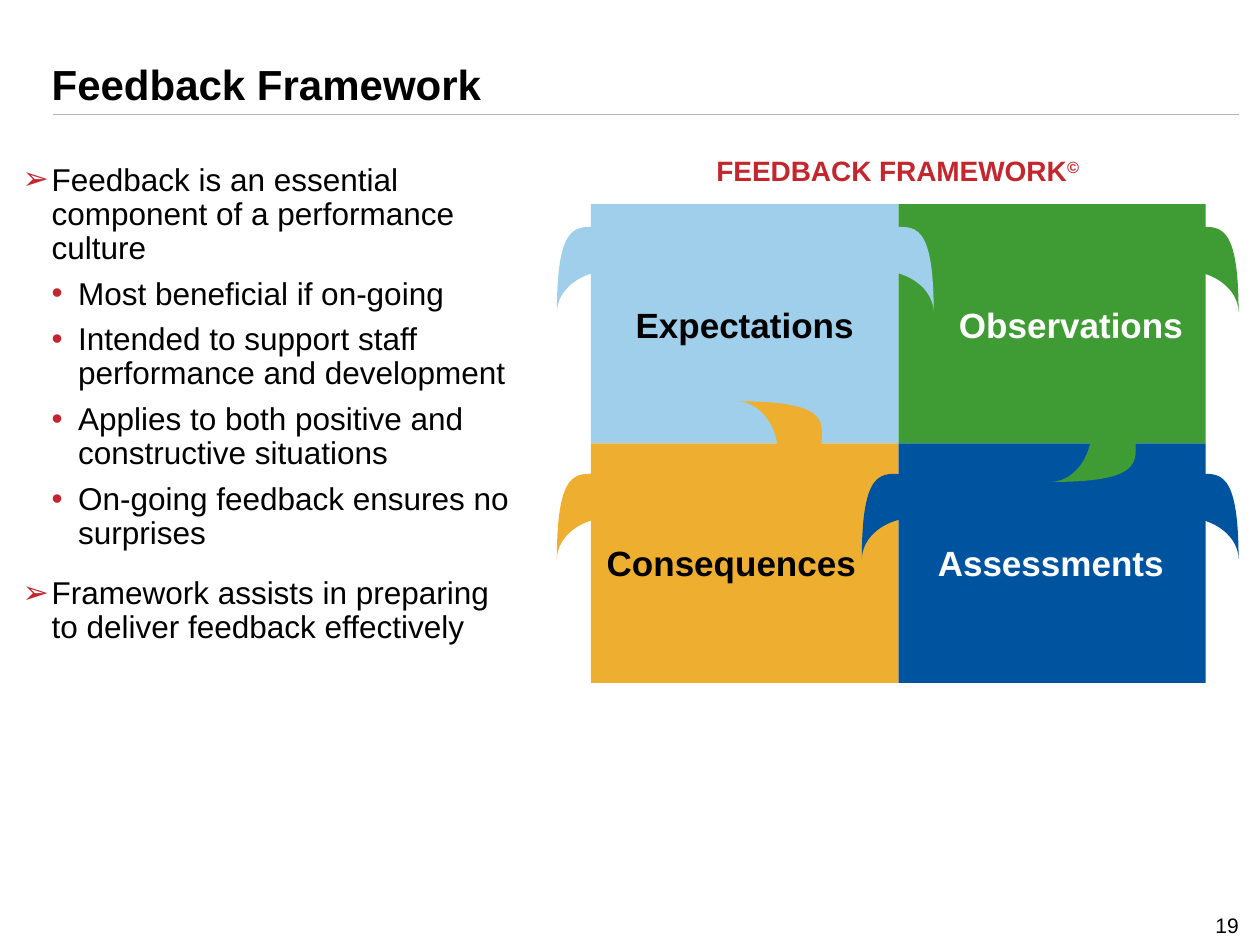
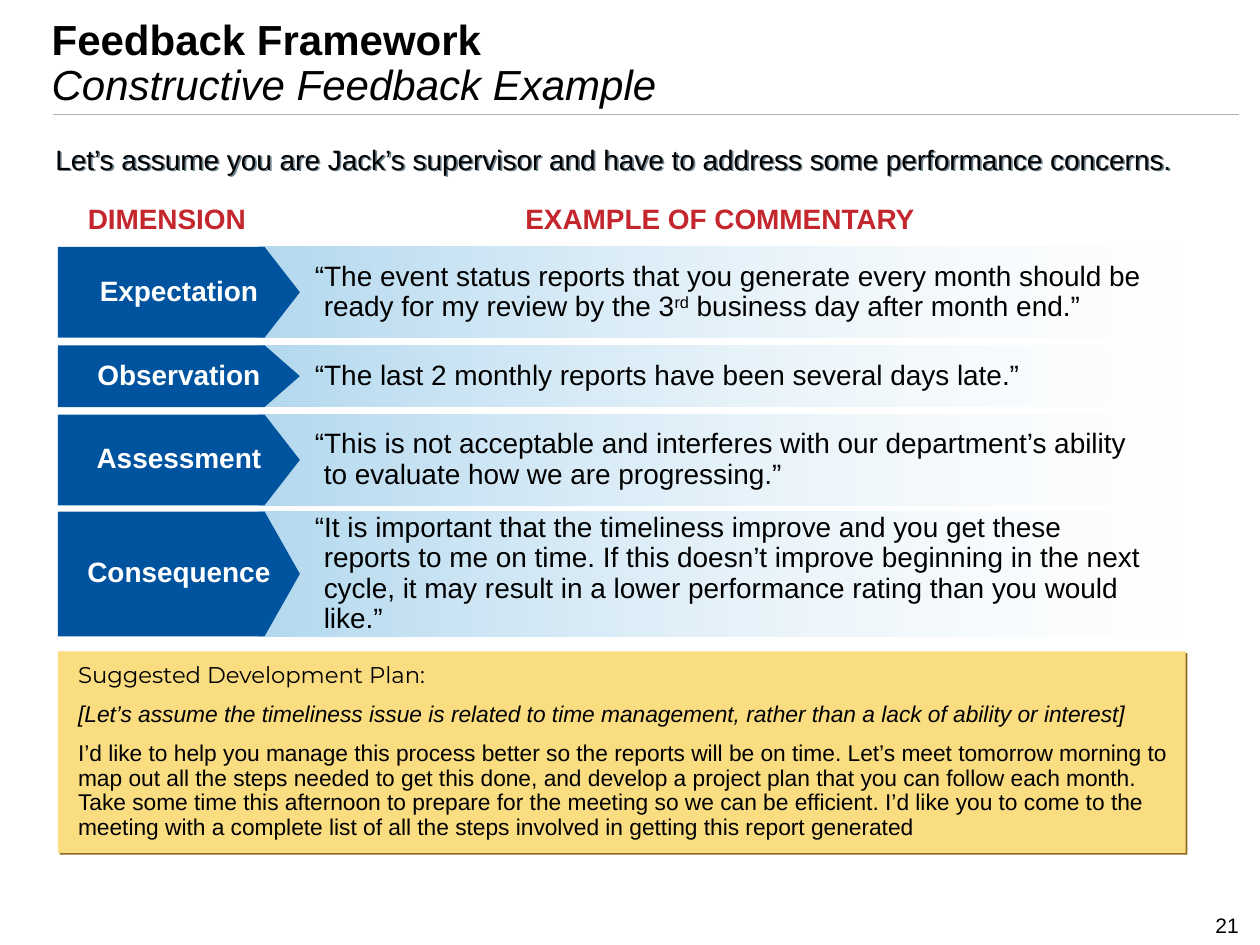
from copy import deepcopy
from dataclasses import dataclass

from lxml.etree import SubElement
from pptx import Presentation
from pptx.dml.color import RGBColor
from pptx.enum.shapes import MSO_CONNECTOR, MSO_SHAPE
from pptx.enum.text import MSO_ANCHOR, MSO_AUTO_SIZE, PP_ALIGN
from pptx.oxml.ns import qn
from pptx.util import Inches, Pt


@dataclass(frozen=True)
class Theme:
    font: str = "Arial"
    accent: str = "Montserrat"
    black: str = "000000"
    white: str = "FFFFFF"
    red: str = "C4262E"
    rule: str = "B2B4B3"
    sky: str = "A0CFEB"
    green: str = "3F9C35"
    blue: str = "00549F"
    gold: str = "EEAF30"
    cream: str = "FADD80"
    brown: str = "8F691D"
    slate: str = "6F8491"
    title: int = 24
    label: int = 20
    body: int = 18
    text: int = 16
    plan: int = 13
    page: int = 12


T = Theme()
LEFT, MID, RIGHT = PP_ALIGN.LEFT, PP_ALIGN.CENTER, PP_ALIGN.RIGHT
TOP, BASE = MSO_ANCHOR.TOP, MSO_ANCHOR.BOTTOM


def write(para, runs, size, tint=T.black, align=LEFT, before=0, pitch=0.9, font=T.font):
    para.alignment = align
    para.space_before = Pt(before)
    para.line_spacing = pitch
    for text, style in runs:
        if text == "\n":
            last = para.runs[-1]
            para.add_line_break()
            para._p[-1].append(deepcopy(last._r.rPr))
            continue
        run = para.add_run()
        run.text = text
        run.font.name = font
        run.font.size = Pt(size)
        run.font.bold = "b" in style
        run.font.italic = "i" in style
        run.font.color.rgb = RGBColor.from_string(tint)
        if "^" in style:
            run._r.get_or_add_rPr().set("baseline", "30000")


def draw(slide, points, tint):
    first, *rest = [(Inches(x), Inches(y)) for x, y in points]
    pen = slide.shapes.build_freeform(*first)
    pen.add_line_segments(rest, close=True)
    shape = pen.convert_to_shape()
    shape.shadow.inherit = False
    shape.fill.solid()
    shape.fill.fore_color.rgb = RGBColor.from_string(tint)
    shape.line.fill.background()
    return shape


deck = Presentation()
deck.slide_width, deck.slide_height = Inches(10), Inches(7.5)

name = ("Feedback Framework", "b")
heads = [
    (1, [name], "19"),
    (5, [name, ("\n", ""), ("Constructive Feedback Example", "i")], "21"),
]
notes = []
for kind, runs, page in heads:
    slide = deck.slides.add_slide(deck.slide_layouts[kind])
    title = slide.shapes.title
    title.left, title.top = Inches(0.31), Inches(0.09)
    title.width, title.height = Inches(9.5), Inches(0.83)
    frame = title.text_frame
    frame.auto_size = MSO_AUTO_SIZE.NONE
    frame.vertical_anchor = BASE
    write(frame.paragraphs[0], runs, T.title)
    notes.append((slide, (7.85, 7.16, 2.08, 0.33), [(page, "")], T.page, T.black, RIGHT, BASE, 1))

frame_slide, case = deck.slides

rule = case.shapes.add_connector(
    MSO_CONNECTOR.STRAIGHT, Inches(0.42), Inches(0.91), Inches(9.83), Inches(0.91))
rule.line.color.rgb = RGBColor.from_string(T.rule)
rule.line.width = Pt(0.25)
SubElement(rule._element.spPr, qn("a:effectLst"))
rule._element.nvCxnSpPr.cNvPr.set("id", "20")
deck.slide_master.shapes._spTree.append(rule._element)

body = frame_slide.placeholders[1]
body.left, body.top = Inches(0.08), Inches(1.25)
body.width, body.height = Inches(4.16), Inches(5.58)
frame = body.text_frame
frame.auto_size = MSO_AUTO_SIZE.NONE
points = [
    (0, "Feedback is an essential component of a performance culture"),
    (1, "Most beneficial if on-going"),
    (1, "Intended to support staff performance and development"),
    (1, "Applies to both positive and constructive situations"),
    (1, "On-going feedback ensures no surprises"),
    (0, "Framework assists in preparing to deliver feedback effectively"),
]
levels = [("➢", 0.23, 0.23, 14.6), ("•", 0.44, 0.21, 6.8)]
for i, (level, text) in enumerate(points):
    mark, left, hang, before = levels[level]
    para = frame.add_paragraph() if i else frame.paragraphs[0]
    para.level = level
    write(para, [(text, "")], T.body, before=before)
    props = para._p.get_or_add_pPr()
    props.set("marL", str(Inches(left)))
    props.set("indent", str(-Inches(hang)))
    SubElement(SubElement(props, qn("a:buClr")), qn("a:srgbClr"), val=T.red)
    SubElement(props, qn("a:buFont"), typeface=T.font)
    SubElement(props, qn("a:buChar"), char=mark)

wide, high = 2.44, 1.9
tiles = [
    (1, 0, T.green, T.white, "Observations", 7.46, 2.4, 2.08),
    (0, 0, T.sky, T.black, "Expectations", 4.87, 2.4, 2.08),
    (1, 1, T.blue, T.white, "Assessments", 7.3, 4.29, 2.08),
    (0, 1, T.gold, T.black, "Consequences", 4.7, 4.29, 2.21),
]
for col, row, tint, ink, text, left, top, span in tiles:
    x, y = 4.69 + col * wide, 1.62 + row * high
    tile = frame_slide.shapes.add_shape(
        MSO_SHAPE.RECTANGLE, Inches(x), Inches(y), Inches(wide), Inches(high))
    tile.shadow.inherit = False
    tile.fill.solid()
    tile.fill.fore_color.rgb = RGBColor.from_string(tint)
    tile.line.fill.background()
    notes.append((frame_slide, (left, top, span, 0.4), [(text, "b")], T.label, ink, MID, TOP, 0.9))

long, deep = 0.42, 0.65
horn = [
    ("a:moveTo", [(0, 0)]),
    ("a:cubicBezTo", [(0.23, 0), (0.42, 0.15), (0.42, 0.33)]),
    ("a:cubicBezTo", [(0.42, -0.48), (0.23, -0.34), (0, -0.34)]),
    ("a:lnTo", [(0, 0.33)]),
    ("a:close", []),
]
horns = [
    (T.green, 9.41, 2.15, 0, ""),
    (T.sky, 6.99, 2.15, 0, ""),
    (T.sky, 4.42, 2.15, 0, "flipH"),
    (T.blue, 9.41, 4.11, 0, ""),
    (T.green, 8.13, 3.29, 90, ""),
    (T.gold, 4.42, 4.11, 0, "flipH"),
    (T.gold, 5.64, 3.07, 270, "flipV"),
    (T.blue, 6.84, 4.11, 0, "flipH"),
]
for tint, x, y, turn, flip in horns:
    box = [(x, y), (x + long, y), (x + long, y + deep), (x, y + deep)]
    tail = draw(frame_slide, box, tint)
    tail.rotation = turn
    if flip:
        tail._element.spPr.xfrm.set(flip, "1")
    trace = next(tail._element.iter(qn("a:path")))
    for step in list(trace):
        trace.remove(step)
    for tag, spots in horn:
        step = SubElement(trace, qn(tag))
        for u, v in spots:
            SubElement(step, qn("a:pt"), x=str(Inches(u)), y=str(Inches(v)))

notes.append((frame_slide, (4.71, 1.17, 4.83, 0.37),
              [("FEEDBACK FRAMEWORK", "b"), ("©", "b^")], T.text, T.red, MID, TOP, 1))

rows = [
    ("Expectation", 1.96, 0.72, [
        ("“The event status reports that you generate every month should be ready "
         "for my review by the 3", ""),
        ("rd", "^"),
        (" business day after month end.”", "")]),
    ("Observation", 2.74, 0.49, [
        ("“The last 2 monthly reports have been several days late.”", "")]),
    ("Assessment", 3.29, 0.72, [
        ("“This is not acceptable and interferes with our department’s ability "
         "to evaluate how we are progressing.”", "")]),
    ("Consequence", 4.06, 0.99, [
        ("“It is important that the timeliness improve and you get these reports to me "
         "on time. If this doesn’t improve beginning in the next cycle, it may result "
         "in a lower performance rating than you would like.”", "")]),
]
for text, y, tall, runs in rows:
    band = case.shapes.add_shape(
        MSO_SHAPE.RECTANGLE, Inches(2.05), Inches(y), Inches(7.33), Inches(tall))
    band.shadow.inherit = False
    band.line.fill.background()
    band.fill.gradient()
    band.fill.gradient_angle = 0
    fades = [(T.sky, 0, 80000), (T.white, 1, 30000)]
    for stop, (tint, place, alpha) in zip(band.fill.gradient_stops, fades):
        stop.color.rgb = RGBColor.from_string(tint)
        stop.position = place
        SubElement(stop._gs.find(qn("a:srgbClr")), qn("a:alpha"), val=str(alpha))
    frame = band.text_frame
    frame.word_wrap = True
    frame.vertical_anchor = MSO_ANCHOR.MIDDLE
    frame.margin_left, frame.margin_right = Inches(0.45), Inches(0.25)
    write(frame.paragraphs[0], runs, T.text)
    props = frame.paragraphs[0]._p.get_or_add_pPr()
    props.set("marL", str(Inches(0.07)))
    props.set("indent", str(-Inches(0.07)))

    end = y + tall
    arrow = draw(case, [(0.46, y), (2.1, y), (2.38, y + tall / 2), (2.1, end), (0.46, end)], T.blue)
    frame = arrow.text_frame
    frame.word_wrap = True
    frame.vertical_anchor = MSO_ANCHOR.MIDDLE
    frame.margin_left = frame.margin_right = Inches(0.1)
    write(frame.paragraphs[0], [(text, "b")], T.text, T.white, MID)

for left, span, text in [(0.55, 1.55, "DIMENSION"), (3.05, 5.33, "EXAMPLE OF COMMENTARY")]:
    notes.append((case, (left, 1.58, span, 0.34), [(text, "b")], T.text, T.red, MID, BASE, 0.9))

plan = case.shapes.add_shape(
    MSO_SHAPE.RECTANGLE, Inches(0.46), Inches(5.17), Inches(8.95), Inches(1.6))
plan.fill.solid()
plan.fill.fore_color.rgb = RGBColor.from_string(T.cream)
plan.line.fill.background()
frame = plan.text_frame
frame.word_wrap = True
frame.vertical_anchor = MSO_ANCHOR.MIDDLE
frame.margin_left, frame.margin_right = Inches(0.16), Inches(0.1)
lines = [
    ("Suggested Development Plan:", "", T.accent),
    ("[Let’s assume the timeliness issue is related to time management, "
     "rather than a lack of ability or interest]", "i", T.font),
    ("I’d like to help you manage this process better so the reports will be on time. "
     "Let’s meet tomorrow morning to map out all the steps needed to get this done, "
     "and develop a project plan that you can follow each month. Take some time this "
     "afternoon to prepare for the meeting so we can be efficient. I’d like you to come "
     "to the meeting with a complete list of all the steps involved in getting this "
     "report generated", "", T.font),
]
for i, (text, style, font) in enumerate(lines):
    para = frame.add_paragraph() if i else frame.paragraphs[0]
    write(para, [(text, style)], T.plan, before=8.1, font=font)

notes.append((case, (0.34, 1.11, 9.39, 0.34),
              [("Let’s assume you are Jack’s supervisor and have to address some "
                "performance concerns.", "")], T.text, T.black, LEFT, TOP, 0.9))

for slide, place, runs, size, tint, align, anchor, pitch in notes:
    note = slide.shapes.add_textbox(*map(Inches, place))
    frame = note.text_frame
    frame.word_wrap = True
    frame.vertical_anchor = anchor
    write(frame.paragraphs[0], runs, size, tint, align, pitch=pitch)
lead = note

for shape, tint in [(plan, T.brown), (lead, T.slate)]:
    shape.shadow.inherit = False
    effects = shape._element.spPr.find(qn("a:effectLst"))
    cast = SubElement(effects, qn("a:outerShdw"), dist=str(Pt(1.4)), dir="2700000")
    SubElement(cast, qn("a:srgbClr"), val=tint)

deck.save("out.pptx")
